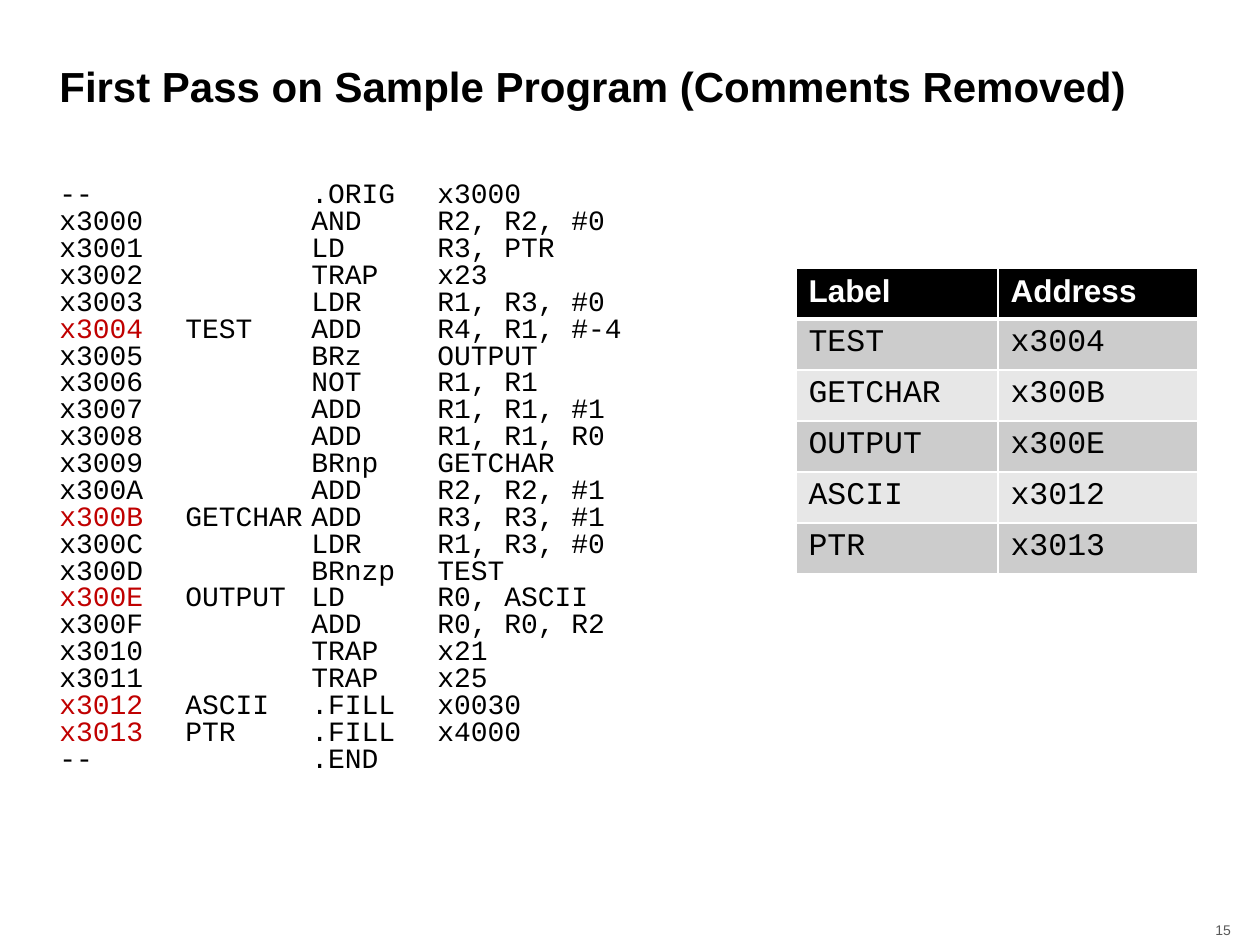
from lxml import etree
from pptx import Presentation
from pptx.dml.color import RGBColor
from pptx.enum.text import MSO_ANCHOR, PP_ALIGN
from pptx.oxml.ns import qn
from pptx.util import Inches, Pt

PX_PER_INCH = 126
COLORS = {"black": "000000", "white": "FFFFFF", "red": "C00000", "gray": "595959",
          "band_dark": "CCCCCC", "band_light": "E7E7E7"}
FORMATS = {
    "title": {"name": "Arial", "size": Pt(24), "bold": True},
    "code": {"name": "Courier New", "size": Pt(16)},
    "header": {"name": "Arial", "size": Pt(18), "bold": True},
    "cell": {"name": "Courier New", "size": Pt(18), "bold": False},
    "number": {"name": "Arial", "size": Pt(8)},
}
TAB_STOPS = (126, 252, 378)

# Address, label, operation, operands
PROGRAM = [
    ("--", "", ".ORIG", "x3000"),
    ("x3000", "", "AND", "R2, R2, #0"),
    ("x3001", "", "LD", "R3, PTR"),
    ("x3002", "", "TRAP", "x23"),
    ("x3003", "", "LDR", "R1, R3, #0"),
    ("x3004", "TEST", "ADD", "R4, R1, #-4"),
    ("x3005", "", "BRz", "OUTPUT"),
    ("x3006", "", "NOT", "R1, R1"),
    ("x3007", "", "ADD", "R1, R1, #1"),
    ("x3008", "", "ADD", "R1, R1, R0"),
    ("x3009", "", "BRnp", "GETCHAR"),
    ("x300A", "", "ADD", "R2, R2, #1"),
    ("x300B", "GETCHAR", "ADD", "R3, R3, #1"),
    ("x300C", "", "LDR", "R1, R3, #0"),
    ("x300D", "", "BRnzp", "TEST"),
    ("x300E", "OUTPUT", "LD", "R0, ASCII"),
    ("x300F", "", "ADD", "R0, R0, R2"),
    ("x3010", "", "TRAP", "x21"),
    ("x3011", "", "TRAP", "x25"),
    ("x3012", "ASCII", ".FILL", "x0030"),
    ("x3013", "PTR", ".FILL", "x4000"),
    ("--", "", ".END"),
]


def px(length):
    return round(length * Inches(1) / PX_PER_INCH)


class SlideBuilder:
    def __init__(self, slide):
        self.slide = slide

    def run(self, paragraph, text, style, color="black"):
        run = paragraph.add_run()
        run.text = text
        for attribute, value in FORMATS[style].items():
            setattr(run.font, attribute, value)
        run.font.color.rgb = RGBColor.from_string(COLORS[color])

    def text_frame(self, left, top, width, height, **settings):
        box = self.slide.shapes.add_textbox(px(left), px(top), px(width), px(height))
        frame = box.text_frame
        for attribute, value in {"word_wrap": True, **settings}.items():
            setattr(frame, attribute, value)
        return frame

    def text(self, box, text, style, color="black", align=PP_ALIGN.LEFT, **settings):
        frame = self.text_frame(*box, vertical_anchor=MSO_ANCHOR.MIDDLE, **settings)
        paragraph = frame.paragraphs[0]
        paragraph.alignment = align
        paragraph.line_spacing = 0.9
        self.run(paragraph, text, style, color)

    def listing(self, box, program):
        frame = self.text_frame(*box)
        for index, (address, *fields) in enumerate(program):
            paragraph = frame.add_paragraph() if index else frame.paragraphs[0]
            paragraph.line_spacing = 0.8
            tabs = etree.SubElement(paragraph._p.get_or_add_pPr(), qn("a:tabLst"))
            for stop in TAB_STOPS:
                etree.SubElement(tabs, qn("a:tab"), pos=str(px(stop)), algn="l")
            self.run(paragraph, address, "code", "red" if fields[0] else "black")
            self.run(paragraph, "\t" + "\t".join(fields), "code")

    def borders(self, cell, bottom):
        properties = cell._tc.get_or_add_tcPr()
        widths = {"lnL": 1, "lnR": 1, "lnT": 1, "lnB": bottom}
        for index, (side, width) in enumerate(widths.items()):
            line = etree.Element(qn(f"a:{side}"), w=str(Pt(width)))
            fill = etree.SubElement(line, qn("a:solidFill"))
            etree.SubElement(fill, qn("a:srgbClr"), val=COLORS["white"])
            properties.insert(index, line)

    def table(self, left, top, column_widths, row_height, rows):
        table = self.slide.shapes.add_table(
            len(rows), len(column_widths), px(left), px(top),
            px(sum(column_widths)), px(row_height * len(rows))).table
        for column, width in zip(table.columns, column_widths):
            column.width = px(width)
        for row_index, values in enumerate(rows):
            table.rows[row_index].height = px(row_height)
            header = row_index == 0
            band = "black" if header else ("band_light", "band_dark")[row_index % 2]
            for column_index, value in enumerate(values):
                cell = table.cell(row_index, column_index)
                cell.fill.solid()
                cell.fill.fore_color.rgb = RGBColor.from_string(COLORS[band])
                self.borders(cell, 3 if header else 1)
                self.run(cell.text_frame.paragraphs[0], value,
                         "header" if header else "cell", "white" if header else "black")


def main():
    presentation = Presentation()
    presentation.slide_width = px(1260)
    presentation.slide_height = px(945)
    builder = SlideBuilder(presentation.slides.add_slide(presentation.slide_layouts[6]))

    # Title
    builder.text((47, 42, 1166, 93), "First Pass on Sample Program (Comments Removed)", "title")

    # Program with addresses
    builder.listing((47, 176, 688, 659), PROGRAM)

    # Symbol table, taken from the labelled lines
    symbols = [(label, address) for address, label, *_ in PROGRAM if label]
    builder.table(796, 268, (202, 200), 51, [("Label", "Address"), *symbols])

    # Slide number
    margins = dict.fromkeys(
        ("margin_left", "margin_top", "margin_right", "margin_bottom"), px(6))
    builder.text((1188, 920, 49, 23), "15", "number", "gray", PP_ALIGN.RIGHT, **margins)

    presentation.save("out.pptx")


if __name__ == "__main__":
    main()
